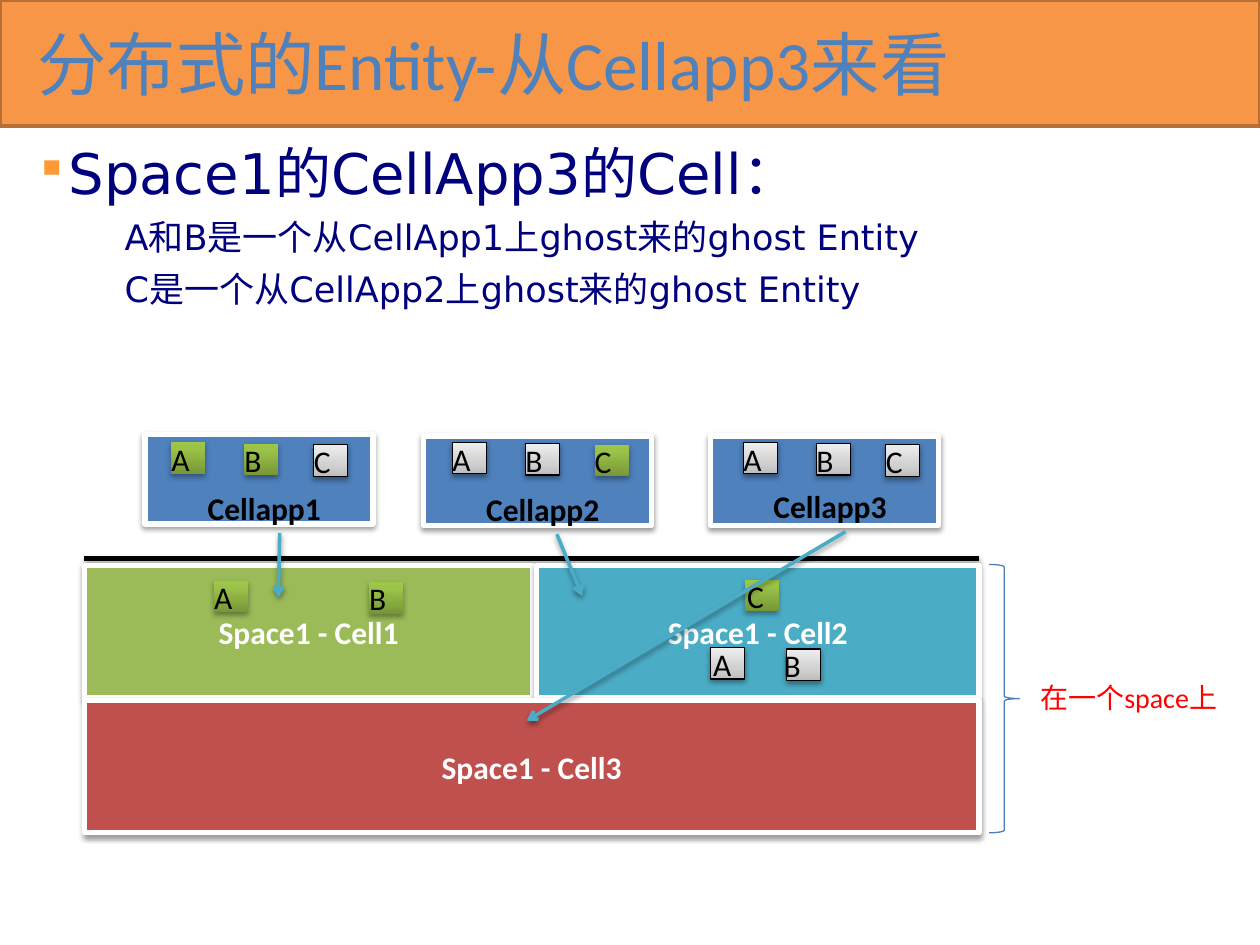
from dataclasses import dataclass

from lxml.etree import SubElement
from pptx import Presentation
from pptx.dml.color import RGBColor
from pptx.enum.shapes import MSO_CONNECTOR as Connector, MSO_SHAPE as Preset
from pptx.enum.text import MSO_ANCHOR as Anchor, PP_ALIGN as Align
from pptx.oxml.ns import qn
from pptx.util import Inches, Pt


@dataclass(frozen=True)
class Theme:
    banner: str = "F79646"
    banner_edge: str = "B76F34"
    blue: str = "4F81BD"
    brace: str = "4B7EBC"
    navy: str = "00007D"
    bullet: str = "FF9933"
    green: str = "9BBB59"
    teal: str = "4BACC6"
    red: str = "C0504D"
    note: str = "FF0000"
    black: str = "000000"
    white: str = "FFFFFF"
    real_stops: tuple = ((0, "779737"), (80, "9BC348"), (100, "9DC746"))
    ghost_stops: tuple = ((0, "BDBDBD"), (35, "D1D1D1"), (100, "EEEEEE"))
    font: str = "Calibri"
    body_font: str = "DejaVu Sans"
    title_size: float = 39.6
    heading_size: float = 32
    detail_size: float = 20
    label_size: float = 18
    note_size: float = 16


THEME = Theme()


@dataclass(frozen=True)
class Box:
    left: float
    top: float
    width: float
    height: float

    def lengths(self) -> list:
        return [Inches(n) for n in (self.left, self.top, self.width, self.height)]


@dataclass(frozen=True)
class Chip:
    """An entity marker; a ghost is grey with a black edge."""
    letter: str
    left: float
    top: float
    ghost: bool
    nudge: float = 0


@dataclass(frozen=True)
class CellApp:
    name: str
    left: float
    top: float
    label_top: float
    first_chip: float
    real: str


@dataclass(frozen=True)
class Cell:
    name: str
    box: Box
    color: str


@dataclass(frozen=True)
class Arrow:
    start: tuple
    end: tuple


CHIP_STEPS = ((0, 3.51), (0.58, 3.52), (1.13, 3.53))
APPS = (
    CellApp("Cellapp1", 1.15, 3.45, 3.83, 1.36, "AB"),
    CellApp("Cellapp2", 3.36, 3.46, 3.84, 3.59, "C"),
    CellApp("Cellapp3", 5.64, 3.46, 3.82, 5.9, ""),
)
CELLS = (
    Cell("Space1 - Cell1", Box(0.67, 4.49, 3.56, 1.05), THEME.green),
    Cell("Space1 - Cell2", Box(4.26, 4.49, 3.51, 1.05), THEME.teal),
    Cell("Space1 - Cell3", Box(0.67, 5.56, 7.1, 1.05), THEME.red),
)
CELL_CHIPS = (
    Chip("A", 1.7, 4.61, False),
    Chip("B", 2.93, 4.62, False),
    Chip("C", 5.91, 4.6, False, 0.02),
    Chip("A", 5.64, 5.14, True, 0.02),
    Chip("B", 6.24, 5.15, True, -0.02),
)
ARROWS = (
    Arrow((2.22, 4.23), (2.21, 4.74)),
    Arrow((4.42, 4.24), (4.62, 4.73)),
    Arrow((6.71, 4.22), (4.18, 5.72)),
)


def set_all(target, values: dict) -> None:
    for name, value in values.items():
        setattr(target, name, value)


def add_shadow(shape, alpha: int = 38, distance: float = 1.6) -> None:
    """Append a soft downward shadow after the fill and line."""
    properties = shape._element.spPr
    effects = properties.find(qn("a:effectLst"))
    if effects is None:
        effects = SubElement(properties, qn("a:effectLst"))
    shadow = SubElement(effects, qn("a:outerShdw"), blurRad=str(Pt(3.1)),
                        dist=str(Pt(distance)), dir="5400000", rotWithShape="0")
    color = SubElement(shadow, qn("a:srgbClr"), val=THEME.black)
    SubElement(color, qn("a:alpha"), val=str(alpha * 1000))


def set_line(shape, color: str, width: float) -> None:
    shape.line.color.rgb = RGBColor.from_string(color)
    shape.line.width = Pt(width)


def set_gradient(shape, stops: tuple) -> None:
    """Replace the default stops, running from bottom to top."""
    shape.fill.gradient()
    gradient = shape._element.spPr.find(qn("a:gradFill"))
    for child in list(gradient):
        gradient.remove(child)
    stop_list = SubElement(gradient, qn("a:gsLst"))
    for position, color in stops:
        stop = SubElement(stop_list, qn("a:gs"), pos=str(position * 1000))
        SubElement(stop, qn("a:srgbClr"), val=color)
    SubElement(gradient, qn("a:lin"), ang="16200000", scaled="0")


def add_preset(page, box: Box, fill=None, line=None, preset=Preset.RECTANGLE):
    shape = page.shapes.add_shape(preset, *box.lengths())
    if isinstance(fill, tuple):
        set_gradient(shape, fill)
    elif fill:
        shape.fill.solid()
        shape.fill.fore_color.rgb = RGBColor.from_string(fill)
    else:
        shape.fill.background()
    if line:
        set_line(shape, *line)
    else:
        shape.line.fill.background()
    shape.shadow.inherit = False
    return shape


def write(para, words: str, size: float, color: str, bold: bool = False,
          font: str = THEME.font) -> None:
    span = para.add_run()
    span.text = words
    set_all(span.font, {"size": Pt(size), "bold": bold, "name": font})
    span.font.color.rgb = RGBColor.from_string(color)


def add_text(page, box: Box, words: str, size: float, color: str,
             bold: bool = False, **frame_format) -> None:
    frame = page.shapes.add_textbox(*box.lengths()).text_frame
    set_all(frame, {"word_wrap": True, **frame_format})
    write(frame.paragraphs[0], words, size, color, bold)


def add_body(page) -> None:
    frame = page.shapes.add_textbox(*Box(0.22, 1.15, 9.57, 5.95).lengths()).text_frame
    set_all(frame, {"word_wrap": True, "margin_left": Inches(0.06), "margin_top": Inches(0.01),
                    "margin_right": Inches(0.04), "margin_bottom": Inches(0.05)})
    lines = (
        ("Space1的CellApp3的Cell：", THEME.heading_size, 0.2, -0.2),
        ("A和B是一个从CellApp1上ghost来的ghost Entity", THEME.detail_size, 0.71, 0),
        ("C是一个从CellApp2上ghost来的ghost Entity", THEME.detail_size, 0.71, 0),
    )
    for index, (words, size, margin, indent) in enumerate(lines):
        para = frame.add_paragraph() if index else frame.paragraphs[0]
        set_all(para, {"line_spacing": 0.9, "space_before": Pt(8)})
        properties = para._p.get_or_add_pPr()
        properties.set("marL", str(Inches(margin)))
        properties.set("indent", str(Inches(indent)))
        if indent:
            color = SubElement(properties, qn("a:buClr"))
            SubElement(color, qn("a:srgbClr"), val=THEME.bullet)
            SubElement(properties, qn("a:buSzPct"), val="80000")
            SubElement(properties, qn("a:buChar"), char="▪")
        write(para, words, size, THEME.navy, font=THEME.body_font)


def add_chip(page, chip: Chip) -> None:
    box = Box(chip.left, chip.top, 0.27, 0.25)
    if chip.ghost:
        add_shadow(add_preset(page, box, THEME.ghost_stops, (THEME.black, 0.75)))
    else:
        add_shadow(add_preset(page, box, THEME.real_stops), 35, 1.8)
    add_text(page, Box(chip.left + chip.nudge, chip.top - 0.07, 0.11, 0.4), chip.letter,
             THEME.label_size, THEME.black, margin_left=0, margin_right=0)


def add_app(page, app: CellApp) -> None:
    add_shadow(add_preset(page, Box(app.left, app.top, 1.81, 0.71), THEME.blue, (THEME.white, 3)))
    add_text(page, Box(app.left + 0.4, app.label_top, 1.34, 0.4), app.name,
             THEME.label_size, THEME.black, True)
    for letter, (step, top) in zip("ABC", CHIP_STEPS):
        add_chip(page, Chip(letter, app.first_chip + step, top, letter not in app.real))


def add_cell(page, cell: Cell) -> None:
    shape = add_preset(page, cell.box, cell.color, (THEME.white, 3))
    add_shadow(shape)
    set_all(shape.text_frame, {"word_wrap": True, "vertical_anchor": Anchor.MIDDLE})
    para = shape.text_frame.paragraphs[0]
    para.alignment = Align.CENTER
    write(para, cell.name, THEME.label_size, THEME.white, True)


def add_line(page, start: tuple, end: tuple, color: str, width: float):
    points = [Inches(n) for n in start + end]
    line = page.shapes.add_connector(Connector.STRAIGHT, *points)
    set_line(line, color, width)
    return line


def add_arrow(page, arrow: Arrow) -> None:
    line = add_line(page, arrow.start, arrow.end, THEME.teal, 2)
    SubElement(line.line._get_or_add_ln(), qn("a:tailEnd"), type="arrow")
    add_shadow(line)


def main() -> None:
    deck = Presentation()
    set_all(deck, {"slide_width": Inches(10), "slide_height": Inches(7.5)})
    page = deck.slides.add_slide(deck.slide_layouts[6])
    add_preset(page, Box(0, 0, 10, 1), THEME.banner, (THEME.banner_edge, 2))
    add_text(page, Box(0.2, 0.14, 9.69, 0.71), "分布式的Entity-从Cellapp3来看",
             THEME.title_size, THEME.blue, vertical_anchor=Anchor.MIDDLE)
    add_body(page)
    add_shadow(add_line(page, (0.67, 4.43), (7.77, 4.43), THEME.black, 3), 35, 1.8)
    for draw, items in ((add_app, APPS), (add_cell, CELLS),
                        (add_chip, CELL_CHIPS), (add_arrow, ARROWS)):
        for item in items:
            draw(page, item)
    add_preset(page, Box(7.85, 4.48, 0.24, 2.13), line=(THEME.brace, 0.75),
               preset=Preset.RIGHT_BRACE)
    add_text(page, Box(8.16, 5.35, 2.15, 0.37), "在一个space上", THEME.note_size, THEME.note)
    deck.save("out.pptx")


if __name__ == "__main__":
    main()
